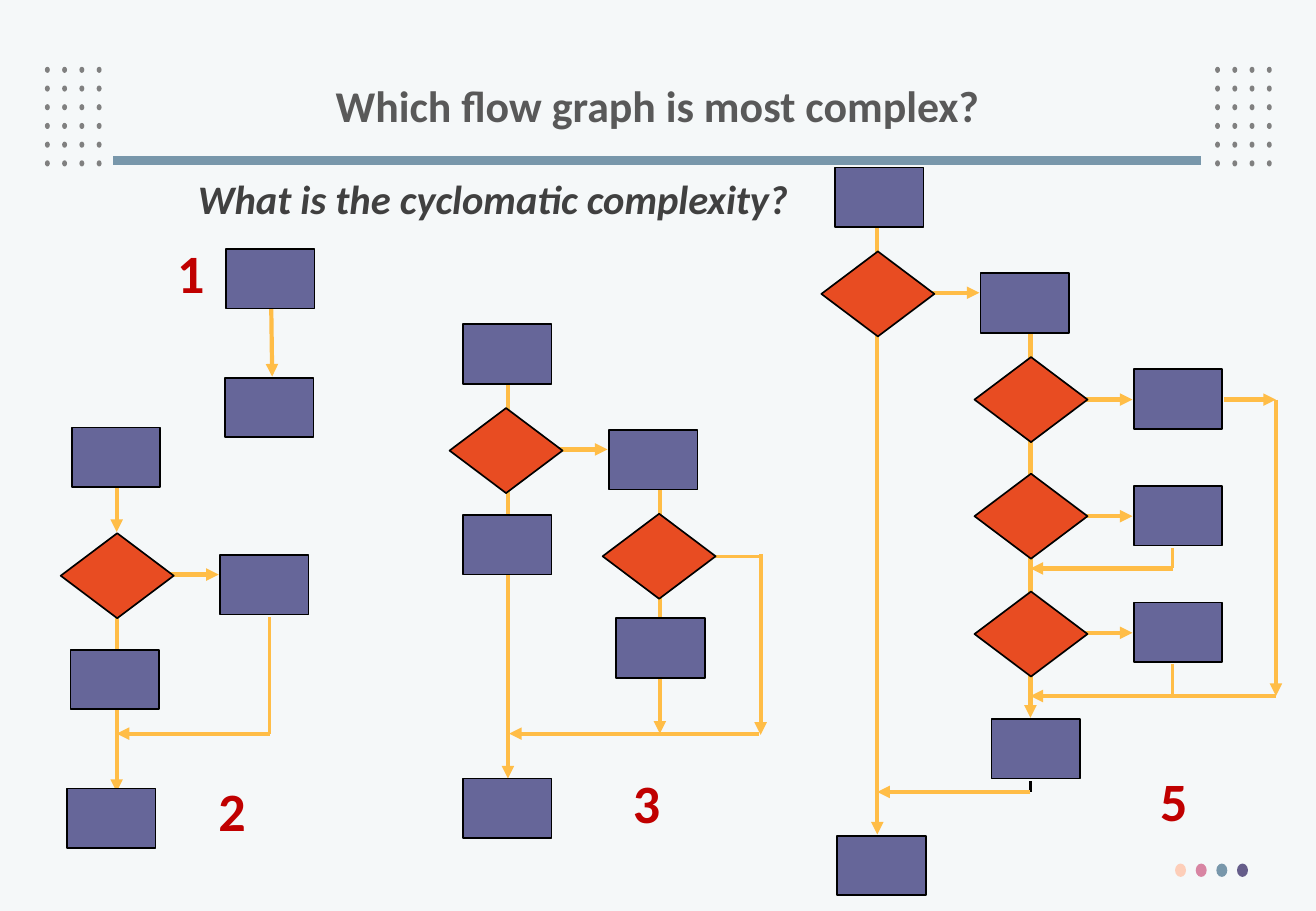
from dataclasses import dataclass
from itertools import product

from lxml.etree import SubElement
from pptx import Presentation
from pptx.dml.color import RGBColor
from pptx.enum.shapes import MSO_CONNECTOR, MSO_SHAPE
from pptx.enum.text import MSO_ANCHOR, MSO_AUTO_SIZE, PP_ALIGN
from pptx.oxml.ns import qn
from pptx.slide import Slide
from pptx.text.text import TextFrame
from pptx.util import Inches, Pt

BACKGROUND = RGBColor(0xF5, 0xF8, 0xF9)
GRAY = RGBColor(0x80, 0x80, 0x80)
TITLE_GRAY = RGBColor(0x59, 0x59, 0x59)
DARK_GRAY = RGBColor(0x40, 0x40, 0x40)
RED = RGBColor(0xC0, 0x00, 0x00)
BLACK = RGBColor(0x00, 0x00, 0x00)
PURPLE = RGBColor(0x66, 0x66, 0x99)
ORANGE = RGBColor(0xE8, 0x4C, 0x22)
YELLOW = RGBColor(0xFF, 0xBD, 0x47)
STEEL = RGBColor(0x78, 0x97, 0xAB)
PEACH = RGBColor(0xFD, 0xCE, 0xB9)
PINK = RGBColor(0xD8, 0x85, 0xA3)
VIOLET = RGBColor(0x65, 0x5D, 0x8A)

FONT = "Calibri"
BOX_W, BOX_H = 0.73, 0.49
DIAMOND_W, DIAMOND_H = 0.93, 0.7


@dataclass
class Edge:
    x1: float
    y1: float
    x2: float
    y2: float
    arrow: bool = True
    width: float = 2.5
    color: RGBColor = YELLOW


@dataclass
class FlowGraph:
    complexity: str
    label: tuple[float, float]
    edges: list[Edge]
    boxes: list[tuple[float, float]]
    diamonds: list[tuple[float, float]]


GRAPHS = [
    FlowGraph(
        "5", (9.45, 6.27),
        [
            Edge(8.48, 2.59, 8.48, 5.91),
            Edge(7.22, 1.81, 7.22, 6.87),
            Edge(7.52, 2.41, 8.06, 2.41),
            *[Edge(8.69, y, 9.32, y) for y in (3.29, 4.25, 5.21)],
            Edge(9.65, 4.51, 9.65, 4.68, arrow=False, width=2),
            Edge(9.65, 4.68, 8.48, 4.68),
            Edge(10.07, 3.29, 10.5, 3.29),
            Edge(10.5, 3.29, 10.5, 5.73),
            Edge(10.5, 5.73, 8.48, 5.73),
            Edge(9.65, 5.47, 9.65, 5.73, arrow=False, width=2),
            Edge(8.48, 6.43, 8.48, 6.52, arrow=False, width=2, color=BLACK),
            Edge(8.48, 6.52, 7.22, 6.52),
        ],
        [(6.87, 1.38), (8.07, 2.25), (9.33, 3.04), (9.33, 4), (9.33, 4.96),
         (8.16, 5.92), (6.89, 6.88)],
        [(6.76, 2.07), (8.02, 2.94), (8.02, 3.9), (8.02, 4.87)],
    ),
    FlowGraph(
        "1", (1.36, 1.92),
        [Edge(2.23, 2.36, 2.24, 3.1)],
        [(1.86, 2.05), (1.85, 3.11)],
        [],
    ),
    FlowGraph(
        "3", (5.11, 6.29),
        [
            Edge(5.43, 3.93, 5.43, 6.04),
            Edge(4.18, 3.07, 4.18, 6.41),
            Edge(4.46, 3.7, 5, 3.7),
            Edge(5.64, 4.58, 6.26, 4.58, arrow=False, width=2),
            Edge(6.26, 4.56, 6.26, 6.05),
            Edge(6.25, 6.04, 4.19, 6.04),
        ],
        [(3.81, 2.67), (5.01, 3.54), (3.81, 4.24), (5.07, 5.09), (3.81, 6.41)],
        [(3.7, 3.36), (4.96, 4.23)],
    ),
    FlowGraph(
        "2", (1.7, 6.35),
        [
            Edge(0.96, 3.82, 0.96, 4.38),
            Edge(0.96, 5.08, 0.96, 6.52),
            Edge(1.26, 4.73, 1.8, 4.73),
            Edge(2.22, 5.08, 2.22, 6.04, arrow=False, width=2),
            Edge(2.22, 6.04, 0.96, 6.04),
        ],
        [(0.59, 3.52), (1.81, 4.57), (0.58, 5.35), (0.55, 6.49)],
        [(0.5, 4.39)],
    ),
]


def add_node(s: Slide, kind: MSO_SHAPE, x: float, y: float, w: float, h: float,
             fill: RGBColor, outlined: bool = True) -> None:
    sp = s.shapes.add_shape(kind, Inches(x), Inches(y), Inches(w), Inches(h))
    sp.shadow.inherit = False
    sp.fill.solid()
    sp.fill.fore_color.rgb = fill
    if outlined:
        sp.line.color.rgb = BLACK
        sp.line.width = Pt(1)
    else:
        sp.line.fill.background()


def add_edge(s: Slide, edge: Edge) -> None:
    cx = s.shapes.add_connector(
        MSO_CONNECTOR.STRAIGHT, Inches(edge.x1), Inches(edge.y1),
        Inches(edge.x2), Inches(edge.y2))
    cx.line.color.rgb = edge.color
    cx.line.width = Pt(edge.width)
    if edge.arrow:
        SubElement(cx.line._get_or_add_ln(), qn("a:tailEnd"), type="triangle")
    SubElement(cx._element.spPr, qn("a:effectLst"))


def write_text(tf: TextFrame, text: str, *, size: float, color: RGBColor,
               italic: bool = False) -> None:
    p = tf.paragraphs[0]
    r = p.add_run()
    r.text = text
    r.font.name = FONT
    r.font.size = Pt(size)
    r.font.bold = True
    r.font.italic = italic
    r.font.color.rgb = color


def add_text(s: Slide, x: float, y: float, w: float, h: float, text: str, *,
             size: float, color: RGBColor, italic: bool = False) -> None:
    tf = s.shapes.add_textbox(Inches(x), Inches(y), Inches(w), Inches(h)).text_frame
    tf.word_wrap = False
    tf.auto_size = MSO_AUTO_SIZE.SHAPE_TO_FIT_TEXT
    write_text(tf, text, size=size, color=color, italic=italic)


def add_title(s: Slide, text: str) -> None:
    sp = s.shapes.title
    sp.left, sp.top, sp.width, sp.height = map(Inches, (0.54, 0.15, 9.75, 1.5))
    tf = sp.text_frame
    tf.auto_size = MSO_AUTO_SIZE.NONE
    tf.vertical_anchor = MSO_ANCHOR.MIDDLE
    tf.paragraphs[0].alignment = PP_ALIGN.CENTER
    tf.paragraphs[0].line_spacing = 0.85
    write_text(tf, text, size=26, color=TITLE_GRAY)


def add_decoration(s: Slide) -> None:
    for row, left, col in product(range(6), (0.37, 10), range(4)):
        add_node(s, MSO_SHAPE.OVAL, left + col * 0.142, 0.55 + row * 0.154,
                 0.04, 0.05, GRAY, outlined=False)
    add_edge(s, Edge(9.88, 1.32, 0.93, 1.32, arrow=False, width=5.25, color=STEEL))
    for i, color in enumerate((PEACH, PINK, STEEL, VIOLET)):
        add_node(s, MSO_SHAPE.OVAL, 9.67 + i * 0.17, 7.11, 0.09, 0.11, color,
                 outlined=False)


def add_graph(s: Slide, graph: FlowGraph) -> None:
    for edge in graph.edges:
        add_edge(s, edge)
    for x, y in graph.boxes:
        add_node(s, MSO_SHAPE.RECTANGLE, x, y, BOX_W, BOX_H, PURPLE)
    for x, y in graph.diamonds:
        add_node(s, MSO_SHAPE.DIAMOND, x, y, DIAMOND_W, DIAMOND_H, ORANGE)
    add_text(s, *graph.label, 0.43, 0.64, graph.complexity, size=32, color=RED)


def main() -> None:
    prs = Presentation()
    prs.slide_width, prs.slide_height = Inches(10.83), Inches(7.5)
    s = prs.slides.add_slide(prs.slide_layouts.get_by_name("Title Only"))
    s.background.fill.solid()
    s.background.fill.fore_color.rgb = BACKGROUND
    add_decoration(s)
    add_title(s, "Which flow graph is most complex?")
    for graph in GRAPHS:
        add_graph(s, graph)
    add_text(s, 1.53, 1.38, 5.11, 0.5, "What is the cyclomatic complexity?",
             size=24, color=DARK_GRAY, italic=True)
    prs.save("out.pptx")


if __name__ == "__main__":
    main()
